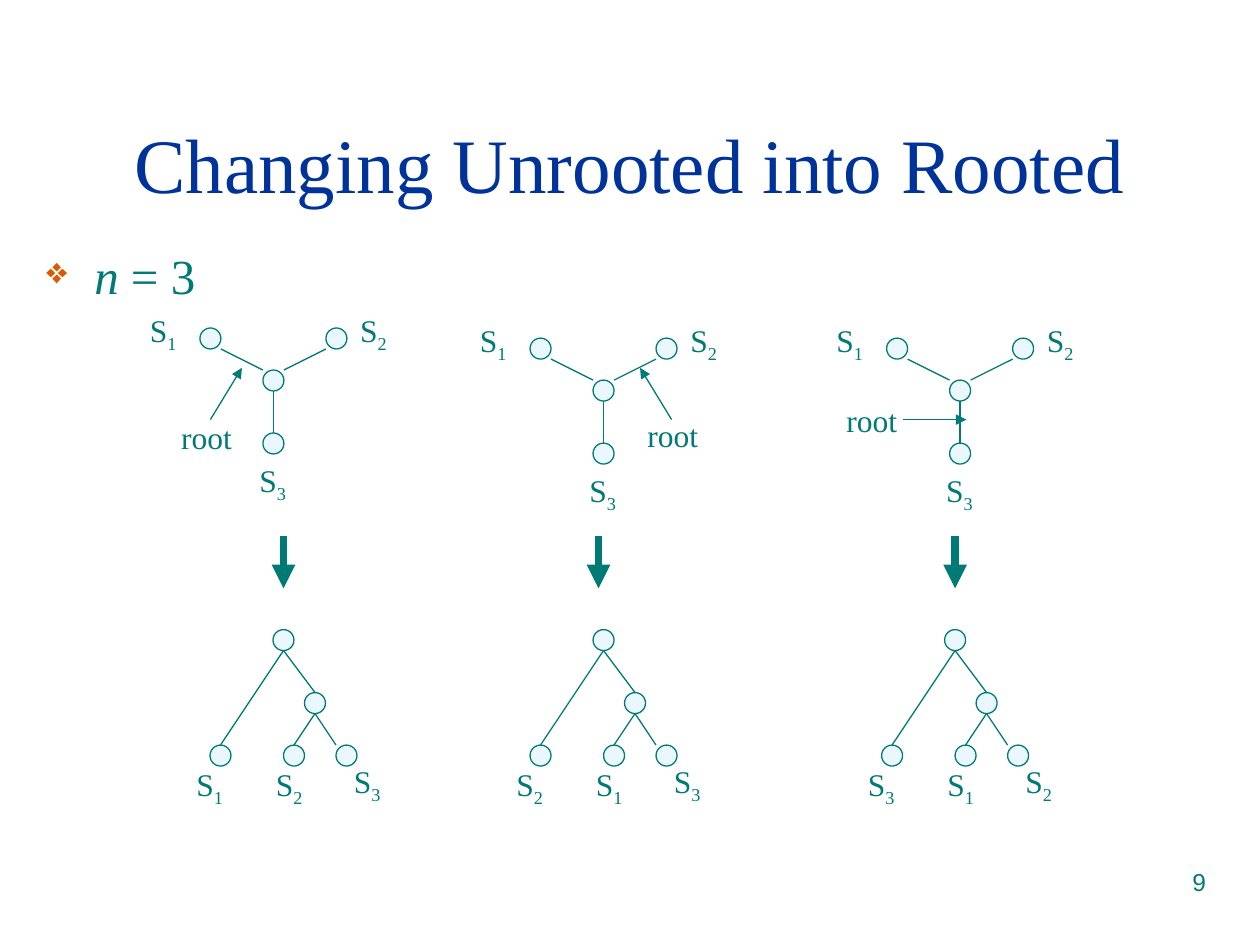
from lxml.etree import SubElement
from pptx import Presentation
from pptx.dml.color import RGBColor
from pptx.enum.shapes import MSO_CONNECTOR as Connector, MSO_SHAPE as Shape
from pptx.enum.text import MSO_ANCHOR as Anchor, MSO_AUTO_SIZE as AutoSize, PP_ALIGN as Align
from pptx.oxml.ns import qn
from pptx.util import Inches, Pt

TEAL, NAVY, ORANGE, PALE = "007A77", "003399", "DC5900", "EBF7FF"
SERIF = "Times New Roman"
NODE = 1 / 6  # node diameter in inches
RADIUS = NODE / 2


def color(value):
    return RGBColor.from_string(value)


def write(para, text, size=18, font=SERIF, fill=TEAL, italic=False, baseline=None):
    span = para.add_run()
    span.text = text
    span.font.size, span.font.name, span.font.italic = Pt(size), font, italic
    span.font.color.rgb = color(fill)
    if baseline:
        span.font._element.set("baseline", str(baseline))


def add_box(page, left, top, width, height, wrap=True):
    box = page.shapes.add_textbox(Inches(left), Inches(top), Inches(width), Inches(height))
    frame = box.text_frame
    frame.word_wrap = wrap
    if not wrap:
        frame.auto_size = AutoSize.SHAPE_TO_FIT_TEXT
    return frame.paragraphs[0]


def add_label(page, number, left, top):
    para = add_box(page, left, top, 0.41, 0.44, wrap=False)
    write(para, "S")
    write(para, str(number), baseline=-25000)


def add_node(page, x, y):
    """Draw a node centred on x, y."""
    node = page.shapes.add_shape(Shape.OVAL, Inches(x - RADIUS), Inches(y - RADIUS),
                                 Inches(NODE), Inches(NODE))
    node.shadow.inherit = False
    node.fill.solid()
    node.fill.fore_color.rgb = color(PALE)
    node.line.color.rgb = color(TEAL)
    node.line.width = Pt(0.75)


def add_line(page, start, end, width=0.75, arrow=False):
    line = page.shapes.add_connector(Connector.STRAIGHT, *map(Inches, start + end))
    line.line.color.rgb = color(TEAL)
    line.line.width = Pt(width)
    if arrow:
        SubElement(line.line._get_or_add_ln(), qn("a:tailEnd"), type="triangle")
    SubElement(line._element.spPr, qn("a:effectLst"))


def add_heading(page):
    title = page.shapes.title
    title.left, title.top, title.width, title.height = map(Inches, (0.33, 0.67, 9.34, 1.25))
    title.text_frame.vertical_anchor = Anchor.MIDDLE
    para = title.text_frame.paragraphs[0]
    para.alignment = Align.CENTER
    write(para, "Changing Unrooted into Rooted", size=44, fill=NAVY)


def add_bullet(page):
    para = add_box(page, 0.27, 1.9, 9.34, 4.59)
    props = para._p.get_or_add_pPr()
    props.set("marL", str(Inches(0.38)))
    props.set("indent", str(Inches(-0.38)))
    SubElement(SubElement(props, qn("a:buClr")), qn("a:srgbClr"), val=ORANGE)
    SubElement(props, qn("a:buSzPct"), val="75000")
    SubElement(props, qn("a:buChar"), char="❖")
    write(para, "n ", size=28, italic=True)
    write(para, "= 3", size=28)


def add_unrooted_tree(page, x, y):
    """Three leaves around a hub centred on x, y."""
    for dx, dy in ((0, 0), (0, 0.5), (0.5, -1 / 3), (-0.5, -1 / 3)):
        add_node(page, x + dx, y + dy)
    for side in (-1, 1):
        add_line(page, (x + side * (0.5 - RADIUS), y - 0.25), (x + side * RADIUS, y - RADIUS))
    add_line(page, (x, y + RADIUS), (x, y + 0.5 - RADIUS))
    for number, dx, dy in ((1, -1.08, -0.6), (2, 0.59, -0.6), (3, -0.21, 0.59)):
        add_label(page, number, x + dx, y + dy)


def add_rooted_tree(page, x, y, leaves):
    """A tree below a root centred on x, y, with leaf numbers from left to right."""
    inner, leaf_y = (x + 0.25, y + 0.5), y + 11 / 12
    add_node(page, x, y)
    add_node(page, *inner)
    for dx in (-0.5, 1 / 12, 0.5):
        add_node(page, x + dx, leaf_y)
    add_line(page, (x, y + RADIUS), (x - 0.5, leaf_y - RADIUS))
    add_line(page, (x, y + RADIUS), (inner[0], inner[1] - RADIUS))
    for dx in (-NODE, NODE):
        add_line(page, (inner[0], inner[1] + RADIUS), (inner[0] + dx, leaf_y - RADIUS))
    for number, dx, dy in zip(leaves, (-0.79, -0.16, 0.46), (0.94, 0.94, 0.92)):
        add_label(page, number, x + dx, y + dy)


def add_root_pointer(page, label, start, end):
    write(add_box(page, *label, 0.6, 0.4, wrap=False), "root")
    add_line(page, start, end, arrow=True)


def main():
    deck = Presentation()
    deck.slide_width, deck.slide_height = Inches(10), Inches(7.5)
    page = deck.slides.add_slide(deck.slide_layouts[5])
    add_heading(page)
    add_bullet(page)

    # Each column: hub, root pointer (label, start, end), arrow x, root x, leaves
    columns = (
        ((2.17, 3.02), ((1.34, 3.27), (1.67, 3.33), (1.92, 2.92)), 2.25, 2.25, (1, 2, 3)),
        ((4.79, 3.1), ((5.04, 3.25), (5.33, 3.33), (5.08, 2.92)), 4.75, 4.79, (2, 1, 3)),
        ((7.62, 3.1), ((6.62, 3.13), (7.17, 3.33), (7.67, 3.33)), 7.58, 7.58, (3, 1, 2)),
    )
    for hub, pointer, arrow_x, root_x, leaves in columns:
        add_unrooted_tree(page, *hub)
        add_root_pointer(page, *pointer)
        add_line(page, (arrow_x, 4.25), (arrow_x, 4.67), width=4.5, arrow=True)
        add_rooted_tree(page, root_x, 5.08, leaves)

    # Page number
    number = add_box(page, 7.17, 6.83, 2.5, 0.52)
    number.alignment = Align.RIGHT
    write(number, "9", size=14, font="Arial")
    deck.save("out.pptx")


if __name__ == "__main__":
    main()
